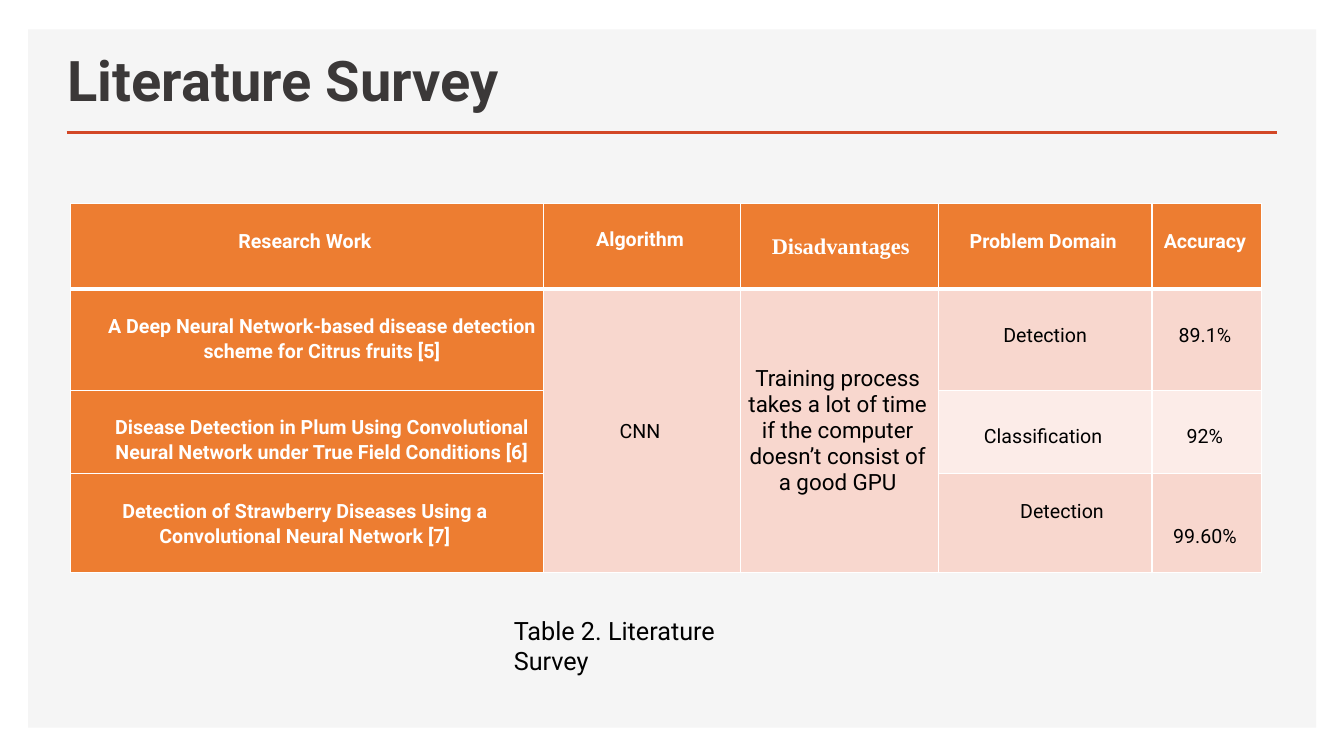
import pptx
import pptx.util
import pptx.dml.color
import pptx.enum.shapes
import pptx.enum.text
import lxml.etree
from dataclasses import dataclass
from pptx.util import Cm

ALIGN = pptx.enum.text.PP_ALIGN
ANCHOR = pptx.enum.text.MSO_ANCHOR
DRAWING = "{http://schemas.openxmlformats.org/drawingml/2006/main}"


@dataclass(frozen=True)
class Theme:
    """Colours, fonts and type sizes of the deck."""
    panel: str = "F5F5F5"
    rule: str = "D24726"
    title: str = "3B3838"
    dark: str = "000000"
    light: str = "FFFFFF"
    accent: str = "ED7D31"
    tint: str = "F8D7CE"
    pale: str = "FCECE8"
    font: str = "Roboto"
    serif: str = "Times New Roman"
    title_size: int = 40
    caption_size: int = 18
    large_size: int = 16
    cell_size: int = 14


def colour(code):
    """Turn a hex code into a colour."""
    return pptx.dml.color.RGBColor.from_string(code)


def apply(target, **values):
    """Set each named attribute on the target."""
    for name, value in values.items():
        setattr(target, name, value)


class SlideBuilder:
    """Holds the theme and the current slide."""

    def __init__(self, page, theme):
        """Keep the page and its style."""
        self.page, self.theme = page, theme

    def add_text(self, frame, text, size, ink, bold=False, font=None,
                 align=ALIGN.LEFT, spacing=1.0):
        """Put one formatted paragraph in a text frame."""
        para = frame.paragraphs[0]
        apply(para, alignment=align, line_spacing=spacing)
        span = para.add_run()
        span.text = text
        apply(span.font, name=font or self.theme.font, bold=bold,
              size=pptx.util.Pt(size))
        span.font.color.rgb = colour(ink)

    def panel(self, left, top, width, height):
        """Add the backdrop behind everything else."""
        box = self.page.shapes.add_shape(
            pptx.enum.shapes.MSO_SHAPE.RECTANGLE, left, top, width, height)
        box.shadow.inherit = False
        box.fill.solid()
        box.fill.fore_color.rgb = colour(self.theme.panel)
        box.line.fill.background()
        self.page.shapes._spTree.insert(2, box._element)

    def title(self, text, left, top, width, height):
        """Place and fill the title placeholder."""
        box = self.page.shapes.title
        apply(box, left=left, top=top, width=width, height=height)
        apply(box.text_frame, vertical_anchor=ANCHOR.BOTTOM, word_wrap=True,
              auto_size=pptx.enum.text.MSO_AUTO_SIZE.NONE)
        self.add_text(box.text_frame, text, self.theme.title_size,
                      self.theme.title, bold=True, spacing=0.9)

    def rule(self, left, top, width):
        """Draw the horizontal line under the title."""
        line = self.page.shapes.add_connector(
            pptx.enum.shapes.MSO_CONNECTOR.STRAIGHT, left, top, left + width, top)
        line.line.color.rgb = colour(self.theme.rule)
        line.line.width = pptx.util.Pt(2)
        lxml.etree.SubElement(line._element.spPr, DRAWING + "effectLst")

    def caption(self, text, left, top, width, height):
        """Add the caption below the table."""
        frame = self.page.shapes.add_textbox(left, top, width, height).text_frame
        apply(frame, word_wrap=True, margin_right=Cm(0.8))
        self.add_text(frame, text, self.theme.caption_size, self.theme.dark)

    def table(self, left, top, columns, rows):
        """Add an empty table with the given column widths and row heights."""
        grid = self.page.shapes.add_table(
            len(rows), len(columns), left, top, sum(columns), sum(rows)).table
        apply(grid, first_row=False, horz_banding=False)
        for column, width in zip(grid.columns, columns):
            column.width = width
        for row, height in zip(grid.rows, rows):
            row.height = height
        return grid

    def paint(self, cell, fill, bottom=1):
        """Fill a cell and give it white borders."""
        cell.fill.solid()
        cell.fill.fore_color.rgb = colour(fill)
        for index, side in enumerate("LRTB"):
            points = bottom if side == "B" else 1
            edge = lxml.etree.Element(DRAWING + "ln" + side,
                                      w=str(pptx.util.Pt(points)))
            solid = lxml.etree.SubElement(edge, DRAWING + "solidFill")
            lxml.etree.SubElement(solid, DRAWING + "srgbClr", val=self.theme.light)
            cell._tc.tcPr.insert(index, edge)

    def fill_cell(self, cell, text, top=None, left=0, **style):
        """Put centred text in a cell, from a top inset or in the middle."""
        apply(cell, margin_left=Cm(left), margin_right=Cm(0.1),
              margin_top=Cm(top or 0), margin_bottom=0,
              vertical_anchor=ANCHOR.MIDDLE if top is None else ANCHOR.TOP)
        self.add_text(cell.text_frame, text, align=ALIGN.CENTER,
                      **{"size": self.theme.cell_size, "spacing": 1.07, **style})


def fill_survey(builder, grid):
    """Fill the survey table with its headings and studies."""
    theme = builder.theme
    heading = {"ink": theme.light, "bold": True}
    serif = {"top": None, "left": 0.15, "font": theme.serif,
             "size": theme.large_size}
    headers = [("Research Work", {}), ("Algorithm", {"top": 0.58}),
               ("Disadvantages", serif), ("Problem Domain", {}),
               ("Accuracy", {})]
    for column, (text, style) in enumerate(headers):
        cell = grid.cell(0, column)
        builder.paint(cell, theme.accent, bottom=3)
        builder.fill_cell(cell, text, **{"top": 0.62, **heading, **style})

    # Study, left inset, domain with insets, accuracy with top inset, fill
    studies = [
        ("A Deep Neural Network-based disease detection scheme for "
         "Citrus fruits [5]", 0.86, ("Detection", 0.84, 0.1),
         ("89.1%", 0.84), theme.tint),
        ("Disease Detection in Plum Using Convolutional Neural Network "
         "under True Field Conditions [6]", 0.86, ("Classification", 0.84, 0),
         ("92%", 0.84), theme.pale),
        ("Detection of Strawberry Diseases Using a Convolutional Neural "
         "Network [7]", 0, ("Detection", 0.62, 0.95),
         ("99.60%", 1.25), theme.tint),
    ]
    for row, (study, inset, domain, accuracy, fill) in enumerate(studies, 1):
        for column, shade in enumerate(
                [theme.accent, theme.tint, theme.tint, fill, fill]):
            builder.paint(grid.cell(row, column), shade)
        builder.fill_cell(grid.cell(row, 0), study, 0.62, inset, **heading)
        builder.fill_cell(grid.cell(row, 3), *domain, ink=theme.dark)
        builder.fill_cell(grid.cell(row, 4), *accuracy, ink=theme.dark)

    shared = [("CNN", {}),
              ("Training process takes a lot of time if the computer "
               "doesn’t consist of a good GPU",
               {"size": theme.large_size, "spacing": 1.0})]
    for column, (text, style) in enumerate(shared, 1):
        grid.cell(1, column).merge(grid.cell(len(studies), column))
        builder.fill_cell(grid.cell(1, column), text, ink=theme.dark, **style)


def main():
    """Build and save the deck."""
    deck = pptx.Presentation()
    apply(deck, slide_width=Cm(33.87), slide_height=Cm(19.05))
    page = deck.slides.add_slide(deck.slide_layouts.get_by_name("Title Only"))
    builder = SlideBuilder(page, Theme())
    builder.panel(Cm(0.71), Cm(0.74), Cm(32.46), Cm(17.6))
    builder.title("Literature Survey", Cm(1.45), Cm(1.2), Cm(19.1), Cm(1.78))
    builder.rule(Cm(1.68), Cm(3.33), Cm(30.5))
    grid = builder.table(
        Cm(1.78), Cm(5.13),
        [Cm(width) for width in (11.91, 4.98, 4.98, 5.38, 2.77)],
        [Cm(height) for height in (2.16, 2.54, 2.11, 2.49)])
    fill_survey(builder, grid)
    builder.caption("Table 2. Literature Survey",
                    Cm(12.7), Cm(15.37), Cm(7.57), Cm(1.02))
    deck.save("out.pptx")


main()
